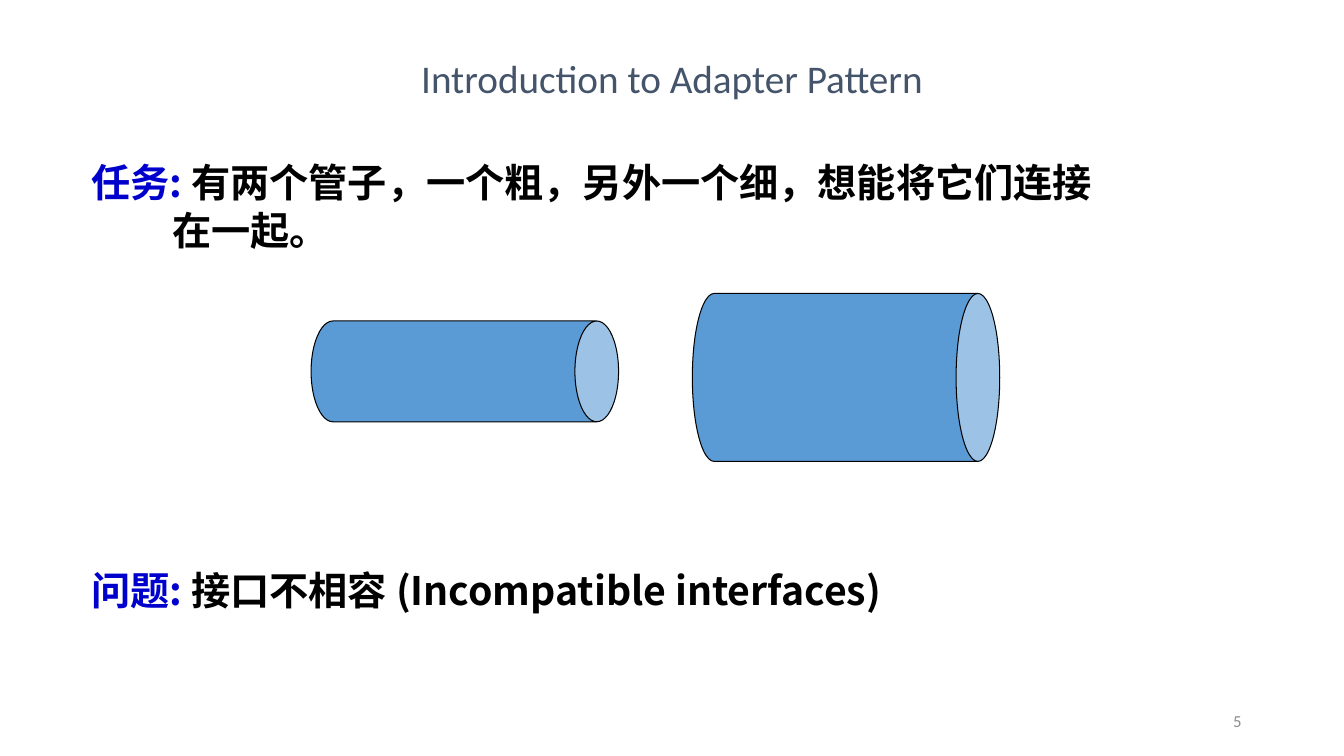
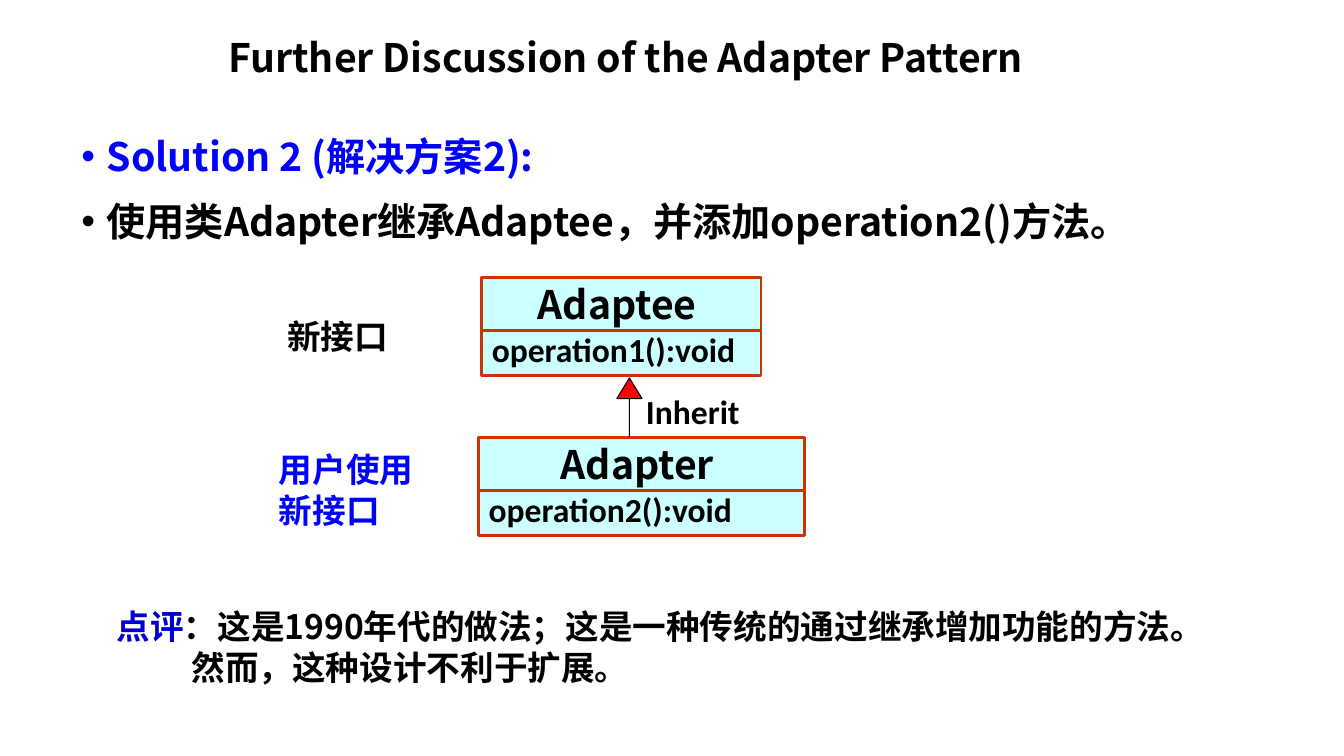
from lxml.etree import SubElement
from pptx import Presentation
from pptx.dml.color import RGBColor as Rgb
from pptx.enum.shapes import MSO_SHAPE as Shape
from pptx.enum.text import MSO_ANCHOR as Anchor, MSO_AUTO_SIZE as AutoSize, PP_ALIGN as Align
from pptx.oxml.ns import qn
from pptx.util import Pt

COLORS = {
    "black": "000000", "slate": "44546A", "gray": "8C8C8C",
    "label": "0000CC", "blue": "0000FF", "pipe": "5B9BD5",
    "class_fill": "CCFFFF", "class_line": "CC3300", "arrow": "FF0000",
}
CJK, LATIN = "Noto Sans CJK SC", "Calibri"
BIG, SMALL = 28, 24
BIG_LEADING, SMALL_LEADING = 34, 29.3


def color(name):
    return Rgb.from_string(COLORS[name])


def indent(para, left, first=0, bullet=None):
    props = para._p.get_or_add_pPr()
    props.set("marL", str(Pt(left)))
    props.set("indent", str(Pt(first)))
    if bullet:
        SubElement(props, qn("a:buFont")).set("typeface", "Arial")
        SubElement(props, qn("a:buChar")).set("char", bullet)


def write(para, text, size=BIG, font=CJK, ink="black", bold=True,
          align=Align.LEFT, leading=None):
    """Add one formatted span to a paragraph."""
    para.alignment = align
    if leading:
        para.line_spacing = Pt(leading)
    span = para.add_run()
    span.text = text
    span.font.size, span.font.name, span.font.bold = Pt(size), font, bold
    span.font.color.rgb = color(ink)
    SubElement(span._r.get_or_add_rPr(), qn("a:ea")).set("typeface", font)


def prepare(box, anchor=Anchor.TOP):
    frame = box.text_frame
    frame.word_wrap = True
    frame.auto_size = AutoSize.NONE
    frame.vertical_anchor = anchor
    return frame


def add_title(page, text, top, height, **style):
    title = page.shapes.title
    title.left, title.top, title.width, title.height = Pt(156), Pt(top), Pt(648), Pt(height)
    write(prepare(title, Anchor.MIDDLE).paragraphs[0], text, **style)


def add_text(page, left, top, width, height, anchor=Anchor.TOP):
    box = page.shapes.add_textbox(Pt(left), Pt(top), Pt(width), Pt(height))
    return prepare(box, anchor)


def add_label(page, text, left, top, width, height, anchor=Anchor.TOP, **style):
    frame = add_text(page, left, top, width, height, anchor)
    write(frame.paragraphs[0], text, **style)


def add_statement(page, label, text, left, top, width, height,
                  more=None, hang=0, **style):
    """Coloured label, its text, and an optional indented second line."""
    frame = add_text(page, left, top, width, height)
    first = frame.paragraphs[0]
    write(first, label, ink="label", **style)
    write(first, text, **style)
    if more:
        para = frame.add_paragraph()
        indent(para, hang)
        write(para, more, **style)


def add_figure(page, kind, left, top, width, height, fill, line="black",
               weight=0.75, adjust=()):
    figure = page.shapes.add_shape(kind, Pt(left), Pt(top), Pt(width), Pt(height))
    figure.shadow.inherit = False
    figure.fill.solid()
    figure.fill.fore_color.rgb = color(fill)
    figure.line.color.rgb = color(line)
    figure.line.width = Pt(weight)
    for index, value in enumerate(adjust):
        figure.adjustments[index] = value
    return figure


def add_pipe(page, left, top, diameter, curve):
    pipe = add_figure(page, Shape.CAN, left, top, diameter, 219.6, "pipe", adjust=[curve])
    pipe.rotation = 90


def add_class(page, name, method, left, top, width):
    """Class box: the name part overlaps the top of the method part."""
    parts = [
        (method, 33.5, 36.7, dict(size=SMALL, font=LATIN)),
        (name, 0, 38.2, dict(align=Align.CENTER, leading=32)),
    ]
    for text, offset, height, style in parts:
        part = add_figure(page, Shape.RECTANGLE, left, top + offset, width, height,
                          "class_fill", "class_line", 2)
        frame = prepare(part)
        if text == name:
            frame.margin_right = Pt(13)
        write(frame.paragraphs[0], text, **style)


def build_introduction(page):
    add_title(page, "Introduction to Adapter Pattern", 30.2, 50.4,
              font=LATIN, ink="slate", bold=False, align=Align.CENTER)
    add_label(page, "5", 678, 500.4, 216, 28.8, Anchor.MIDDLE, size=12, font=LATIN,
              ink="gray", bold=False, align=Align.RIGHT)
    # Thin and thick pipes
    add_pipe(page, 296, 155.5, 72, 0.433)
    add_pipe(page, 544.3, 159.8, 120, 0.26)
    # Task and problem
    add_statement(page, "任务: ", "有两个管子，一个粗，另外一个细，想能将它们连接",
                  58.3, 109.4, 802, 75, more="在一起。", hang=57.5, leading=BIG_LEADING)
    add_statement(page, "问题: ", "接口不相容 (Incompatible interfaces)",
                  58.3, 400.3, 770, 39.6, leading=BIG_LEADING)


def build_discussion(page):
    add_title(page, "Further Discussion of the Adapter Pattern", 21.6, 38.2)
    # Solution bullets
    frame = add_text(page, 51.1, 84.2, 843, 100)
    bullets = [("Solution 2 (解决方案2):", "blue"),
               ("使用类Adapter继承Adaptee，并添加operation2()方法。", "black")]
    for index, (text, ink) in enumerate(bullets):
        para = frame.add_paragraph() if index else frame.paragraphs[0]
        indent(para, 18, -18, "•")
        para.space_before = Pt(6 if index else 0)
        write(para, text, ink=ink, leading=40.5)
    # Class diagram
    add_class(page, "Adaptee", "operation1():void", 344.2, 198, 199.4)
    add_class(page, "Adapter", "operation2():void", 342, 312.5, 232.6)
    add_figure(page, Shape.UP_ARROW, 440.6, 270, 18, 41.8, "arrow", adjust=[0, 0.815])
    add_label(page, "Inherit", 454.3, 275.8, 126, 36.7, size=SMALL, font=LATIN)
    add_label(page, "新接口", 198, 221.8, 113.8, 36.7, size=SMALL, leading=SMALL_LEADING)
    add_label(page, "用户使用新接口", 192.2, 316.8, 113.8, 65.5, size=SMALL,
              ink="blue", leading=SMALL_LEADING)
    # Comment
    add_statement(page, "点评", "：这是1990年代的做法；这是一种传统的通过继承增加功能的方法。",
                  76.3, 428.4, 810.7, 72, more="然而，这种设计不利于扩展。", hang=53.5,
                  size=SMALL, leading=SMALL_LEADING)


def main():
    deck = Presentation()
    deck.slide_width, deck.slide_height = Pt(960), Pt(540)
    title_only = deck.slide_layouts[5]
    for build in (build_introduction, build_discussion):
        build(deck.slides.add_slide(title_only))
    deck.save("out.pptx")


if __name__ == "__main__":
    main()
